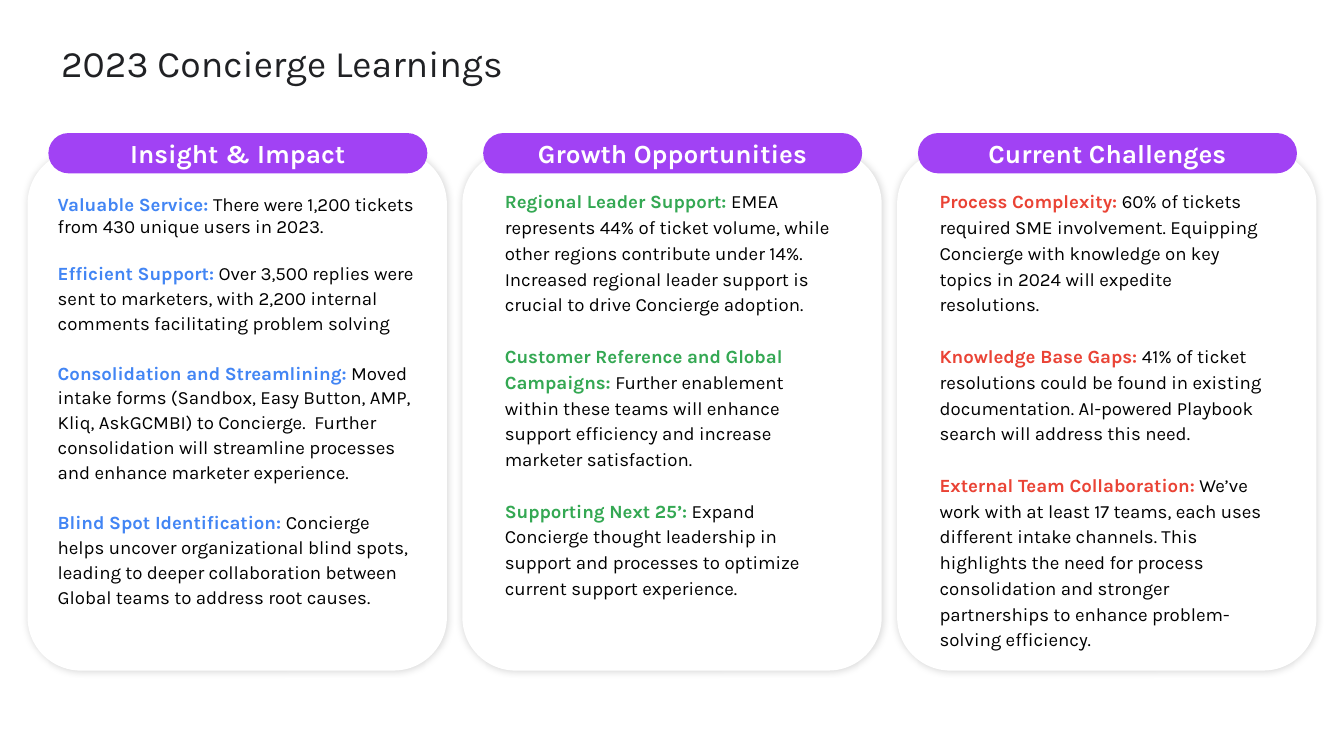
from lxml.etree import SubElement
from pptx import Presentation
from pptx.dml.color import RGBColor
from pptx.enum.shapes import MSO_SHAPE
from pptx.enum.text import MSO_ANCHOR, PP_ALIGN
from pptx.oxml.ns import qn
from pptx.util import Pt

PX = 4572  # 200 px to the inch
CARD_W, CARD_H, PITCH = 624, 774, 647
PILL_W, PILL_H = 564, 60

COLS = [
    ("Insight & Impact", "4285F4", [
        ("Valuable Service: ",
         "There were 1,200 tickets from 430 unique users in 2023."),
        ("Efficient Support:",
         " Over 3,500 replies were sent to marketers, with 2,200 internal "
         "comments facilitating problem solving"),
        ("Consolidation and Streamlining: ",
         "Moved intake forms (Sandbox, Easy Button, AMP, Kliq, AskGCMBI) to "
         "Concierge.  Further consolidation will streamline processes and "
         "enhance marketer experience."),
        ("Blind Spot Identification: ",
         "Concierge helps uncover organizational blind spots, leading to "
         "deeper collaboration between Global teams to address root causes."),
    ]),
    ("Growth Opportunities", "34A853", [
        ("Regional Leader Support: ",
         "EMEA represents 44% of ticket volume, while other regions "
         "contribute under 14%. Increased regional leader support is crucial "
         "to drive Concierge adoption."),
        ("Customer Reference and Global Campaigns: ",
         "Further enablement within these teams will enhance support "
         "efficiency and increase marketer satisfaction."),
        ("Supporting Next 25’: ",
         "Expand Concierge thought leadership in support and processes to "
         "optimize current support experience."),
    ]),
    ("Current Challenges", "EA4335", [
        ("Process Complexity: ",
         "60% of tickets required SME involvement. Equipping Concierge with "
         "knowledge on key topics in 2024 will expedite resolutions."),
        ("Knowledge Base Gaps: ",
         "41% of ticket resolutions could be found in existing "
         "documentation. AI-powered Playbook search will address this need."),
        ("External Team Collaboration: ",
         "We’ve work with at least 17 teams, each uses different intake "
         "channels. This highlights the need for process consolidation and "
         "stronger partnerships to enhance problem-solving efficiency."),
    ]),
]


def style(run, size, color, bold=False):
    run.font.name = "Karla"
    run.font.size = Pt(size)
    run.font.bold = bold
    run.font.color.rgb = RGBColor.from_string(color)


def panel(left, top, width, height, adj, color):
    shape = slide.shapes.add_shape(
        MSO_SHAPE.ROUNDED_RECTANGLE,
        left * PX, top * PX, width * PX, height * PX)
    shape.adjustments[0] = adj
    shape.shadow.inherit = False
    shape.fill.solid()
    shape.fill.fore_color.rgb = RGBColor.from_string(color)
    shape.line.fill.background()
    return shape


prs = Presentation()
prs.slide_width, prs.slide_height = 2000 * PX, 1125 * PX
slide = prs.slides.add_slide(prs.slide_layouts[6])

# Title
box = slide.shapes.add_textbox(91 * PX, 68 * PX, 1194 * PX, 58 * PX)
frame = box.text_frame
frame.word_wrap = True
frame.margin_left = frame.margin_top = frame.margin_bottom = 0
frame.text = "2023 Concierge Learnings"
frame.paragraphs[0].line_spacing = 0.9
style(frame.paragraphs[0].runs[0], 20, "202124")

for col, (head, color, items) in enumerate(COLS):
    left = 41 + col * PITCH

    # Card with a soft shadow
    card = panel(left, 224, CARD_W, CARD_H, 0.127, "FFFFFF")
    effect = card._element.spPr.find(qn("a:effectLst"))
    glow = SubElement(effect, qn("a:outerShdw"), blurRad=str(Pt(4)),
                      dist="0", dir="0", algn="bl", rotWithShape="0")
    tint = SubElement(glow, qn("a:srgbClr"), val="000000")
    SubElement(tint, qn("a:alpha"), val="15000")

    # Heading pill
    pill = panel(left + 31, 198, PILL_W, PILL_H, 0.5, "A142F4")
    pill.text_frame.text = head
    pill.text_frame.vertical_anchor = MSO_ANCHOR.MIDDLE
    para = pill.text_frame.paragraphs[0]
    para.alignment = PP_ALIGN.CENTER
    style(para.runs[0], 14, "FFFFFF", True)

    # The first column holds its text in a table, the others in the card
    if col == 0:
        table = slide.shapes.add_table(
            1, 1, (left + 31) * PX, 282 * PX, PILL_W * PX, 628 * PX).table
        table.first_row = table.horz_banding = False
        cell = table.cell(0, 0)
        cell.fill.background()
        cell.margin_left = cell.margin_right = 14 * PX
        cell.margin_top = cell.margin_bottom = 8 * PX
        frame = cell.text_frame
    else:
        frame = card.text_frame
        frame.word_wrap = True
        frame.vertical_anchor = MSO_ANCHOR.TOP
        frame.margin_left = frame.margin_right = 40 * PX
        frame.margin_top = frame.margin_bottom = 31 * PX

    # Points with a coloured lead
    for row, (lead, body) in enumerate(items):
        para = frame.add_paragraph() if row else frame.paragraphs[0]
        para.alignment = PP_ALIGN.LEFT
        para.line_spacing = 1.15 if row or col else 1
        if row:
            para.space_before = Pt(13.8 if col else 13.4 if row > 1 else 11.5)
        for text, ink, bold in ((lead, color, True), (body, "000000", False)):
            run = para.add_run()
            run.text = text
            style(run, 10, ink, bold)

prs.save("out.pptx")
